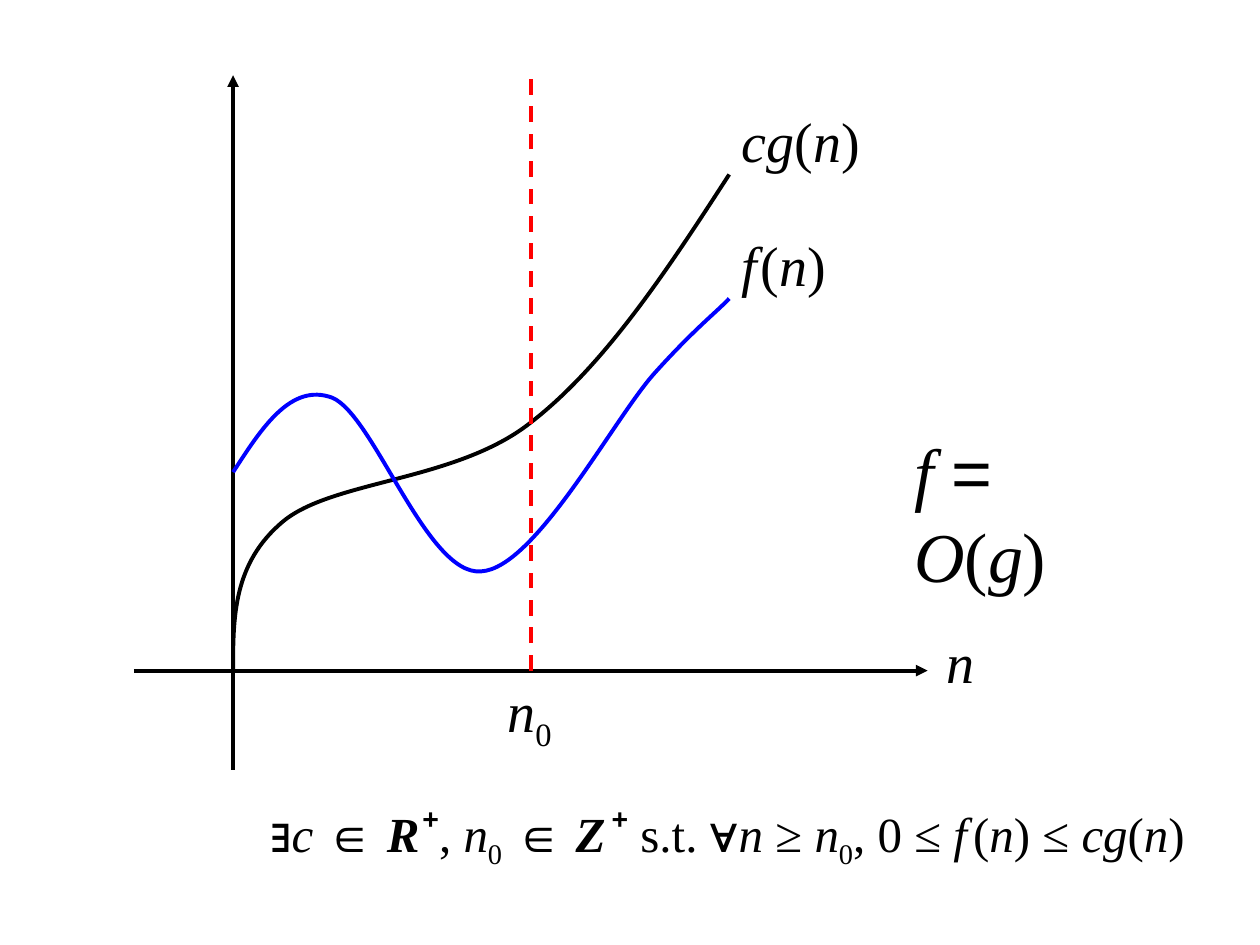
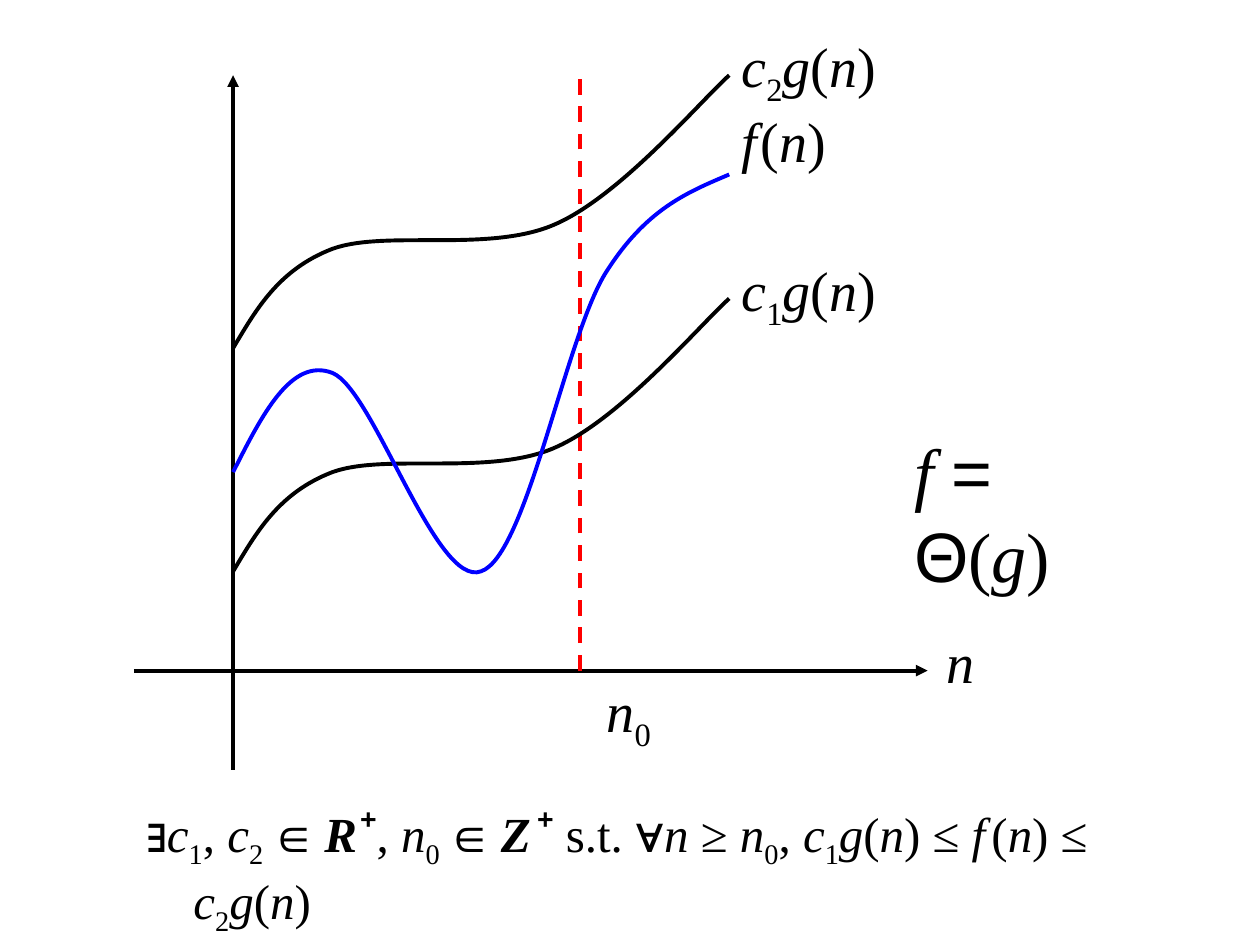
import lxml.etree
import pptx
import pptx.dml.color
import pptx.enum.dml
import pptx.enum.shapes
import pptx.enum.text
import pptx.oxml.ns
import pptx.util

Pt = pptx.util.Pt
RGB = pptx.dml.color.RGBColor
qn = pptx.oxml.ns.qn

BLACK = RGB(0, 0, 0)
RED = RGB(255, 0, 0)
BLUE = RGB(0, 0, 255)
SERIF = "Times New Roman"
SANS = "Arial"

UNIT = 28.35
LEFT = 133.2
BASE = 383.2

VAR = {"italic": True}
SET = {"italic": True, "bold": True}
SUB = {"shift": -25}
SUP = {"name": SANS, "bold": True, "shift": 46}
PLAIN = {}
HALF = {"size": Pt(14)}
THIN = {"size": Pt(7)}

GROWTH = [(0, 0), (0, 1.07), (0, 2.16), (1, 3), (2, 3.84), (4.5, 3.81),
          (6, 5), (7.5, 6.16), (8.77, 8.1), (10, 10)]
WAVE = [(0, 4), (0.58, 4.9), (1.17, 5.81), (2, 5.5), (2.84, 5.15),
        (3.91, 1.9), (5, 2), (6.09, 2.06), (7.67, 5.08), (8.5, 6),
        (9.31, 6.9), (9.75, 7.23), (10, 7.5)]
LOWER = [(0, 2), (0.46, 2.77), (0.91, 3.58), (2, 4), (3.07, 4.39),
         (5.18, 3.91), (6.5, 4.5), (7.82, 5.08), (9.42, 6.98), (10, 7.5)]
UPPER = [(x, y + 4.5) for x, y in LOWER]
SWING = [(0, 4), (0.58, 5.15), (1.17, 6.32), (2, 6), (2.84, 5.66),
         (4.09, 1.65), (5, 2), (5.91, 2.31), (6.68, 6.65), (7.5, 8),
         (8.32, 9.31), (9.16, 9.64), (10, 10)]


def place(x, y):
    """Turn graph units into a slide position."""
    return Pt(LEFT + UNIT * x), Pt(BASE - UNIT * y)


def index(name, mark):
    """Give the runs of a variable with a subscript."""
    return [(name, VAR), (mark, SUB)]


def call(head, gap=None):
    """Give the runs of a function of n."""
    space = [(" ", {"size": Pt(gap)})] if gap else []
    return head + space + [("(", PLAIN), ("n", VAR), (")", PLAIN)]


def member(name, space, gap):
    """Give the runs that put a value in a positive number set."""
    return [(" ", space), ("\u2208", PLAIN), (" ", space), (name, SET),
            (" ", gap), ("+", SUP)]


def write(para, runs, size):
    """Add formatted runs to a paragraph."""
    for text, style in runs:
        run = para.add_run()
        run.text = text
        run.font.color.rgb = BLACK
        look = {"name": SERIF, "size": Pt(size), "bold": False,
                "italic": False, **style}
        shift = look.pop("shift", 0)
        for key, value in look.items():
            setattr(run.font, key, value)
        if shift:
            run.font._element.set("baseline", str(shift * 1000))


def stroke(line, color):
    """Set the colour and width of a line."""
    line.color.rgb = color
    line.width = Pt(2.25)


def curve(slide, points, color):
    """Draw a smooth open curve through groups of three points."""
    spots = [place(x, y) for x, y in points]
    pen = slide.shapes.build_freeform(*spots[0])
    pen.add_line_segments(spots[1:], close=False)
    shape = pen.convert_to_shape()
    shape.shadow.inherit = False
    shape.fill.background()
    stroke(shape.line, color)
    steps = list(shape._element.iter(qn("a:lnTo")))
    for first in range(0, len(steps), 3):
        bend = lxml.etree.Element(qn("a:cubicBezTo"))
        steps[first].addprevious(bend)
        for step in steps[first:first + 3]:
            bend.append(step[0])
            step.getparent().remove(step)


def rule(slide, start, end, color, arrow=None, dash=None):
    """Draw a straight line, with an arrow or dashes if asked."""
    kind = pptx.enum.shapes.MSO_CONNECTOR.STRAIGHT
    line = slide.shapes.add_connector(kind, *place(*start), *place(*end))
    lxml.etree.SubElement(line._element.spPr, qn("a:effectLst"))
    stroke(line.line, color)
    if dash:
        line.line.dash_style = dash
    if arrow:
        edge = line.line._get_or_add_ln()
        lxml.etree.SubElement(edge, qn(arrow), type="triangle")


def label(slide, spot, width, runs, size=32, wrap=False):
    """Add a text box at a graph position."""
    box = slide.shapes.add_textbox(*place(*spot), Pt(width), Pt(size * 1.2 + 7.2))
    frame = box.text_frame
    auto = pptx.enum.text.MSO_AUTO_SIZE
    look = {"word_wrap": wrap,
            "auto_size": auto.NONE if wrap else auto.SHAPE_TO_FIT_TEXT,
            "margin_right": Pt(28 if wrap else 7.2)}
    for key, value in look.items():
        setattr(frame, key, value)
    write(frame.paragraphs[0], runs, size)


def claim(slide, left, width, height, runs):
    """Fill the body placeholder with the formal statement."""
    title = slide.shapes.title._element
    title.getparent().remove(title)
    body = slide.placeholders[1]
    look = {"left": Pt(left), "top": Pt(454.3), "width": Pt(width),
            "height": Pt(height)}
    for key, value in look.items():
        setattr(body, key, value)
    body.text_frame.auto_size = pptx.enum.text.MSO_AUTO_SIZE.NONE
    para = body.text_frame.paragraphs[0]
    form = para._p.get_or_add_pPr()
    form.set("marL", str(Pt(27)))
    form.set("indent", str(Pt(-27)))
    space = lxml.etree.SubElement(form, qn("a:spcBef"))
    lxml.etree.SubElement(space, qn("a:spcPct"), val="20000")
    lxml.etree.SubElement(form, qn("a:buNone"))
    write(para, runs, 28)


def graph(slide, limit, mark, order):
    """Draw the axes, the threshold and their labels."""
    rule(slide, (0, 12), (0, -2), BLACK, "a:headEnd")
    rule(slide, (-2, 0), (14, 0), BLACK, "a:tailEnd")
    rule(slide, (limit, 0), (limit, 12), RED,
         dash=pptx.enum.dml.MSO_LINE.DASH)
    label(slide, (mark, 0), 41, index("n", "0"))
    label(slide, (14.14, 1), 30, [("n", VAR)])
    runs = [("f ", VAR), ("= ", {"name": SANS}), order,
            ("(", PLAIN), ("g", VAR), (")", PLAIN)]
    label(slide, (13.48, 5), 143.5, runs, 40, True)


def start(deck):
    """Add a slide with a body placeholder."""
    return deck.slides.add_slide(deck.slide_layouts[1])


def upper(deck):
    """Build the slide on the upper bound."""
    slide = start(deck)
    curve(slide, GROWTH, BLACK)
    graph(slide, 6, 5.28, ("O", VAR))
    label(slide, (10, 11.5), 82, call([("cg", VAR)]))
    label(slide, (10, 9), 63, call([("f", VAR)], 8))
    curve(slide, WAVE, BLUE)
    runs = [("\u2203", PLAIN), ("c", VAR)]
    runs += member("R", PLAIN, THIN) + [(", ", PLAIN)] + index("n", "0")
    runs += member("Z", PLAIN, HALF) + [(" s.t. \u2200", PLAIN), ("n", VAR)]
    runs += [(" \u2265 ", PLAIN)] + index("n", "0") + [(", 0 \u2264 ", PLAIN)]
    runs += call([("f", VAR)], 14) + [(" \u2264 ", PLAIN)] + call([("cg", VAR)])
    claim(slide, 147.6, 538.6, 56.9, runs)


def tight(deck):
    """Build the slide on the tight bound."""
    slide = start(deck)
    low = call(index("c", "1") + [("g", VAR)])
    high = call(index("c", "2") + [("g", VAR)])
    graph(slide, 7, 7.28, ("\u0398", {"name": SANS}))
    label(slide, (10, 8.5), 92, low)
    label(slide, (10, 11.5), 63, call([("f", VAR)], 8))
    label(slide, (10, 13), 92, high)
    for points, color in ((LOWER, BLACK), (SWING, BLUE), (UPPER, BLACK)):
        curve(slide, points, color)
    runs = [("\u2203", PLAIN)] + index("c", "1") + [(", ", PLAIN)]
    runs += index("c", "2") + member("R", HALF, THIN) + [(", ", PLAIN)]
    runs += index("n", "0") + member("Z", HALF, HALF)
    runs += [(" s.t. \u2200", PLAIN), ("n", VAR), (" \u2265 ", PLAIN)]
    runs += index("n", "0") + [(", ", PLAIN)] + low + [(" \u2264 ", PLAIN)]
    runs += call([("f", VAR)], 14) + [(" \u2264 ", PLAIN)] + high
    claim(slide, 76.3, 623.5, 42.5, runs)


def main():
    """Build and save the deck."""
    deck = pptx.Presentation()
    deck.slide_width = Pt(720)
    deck.slide_height = Pt(540)
    upper(deck)
    tight(deck)
    deck.save("out.pptx")


main()
